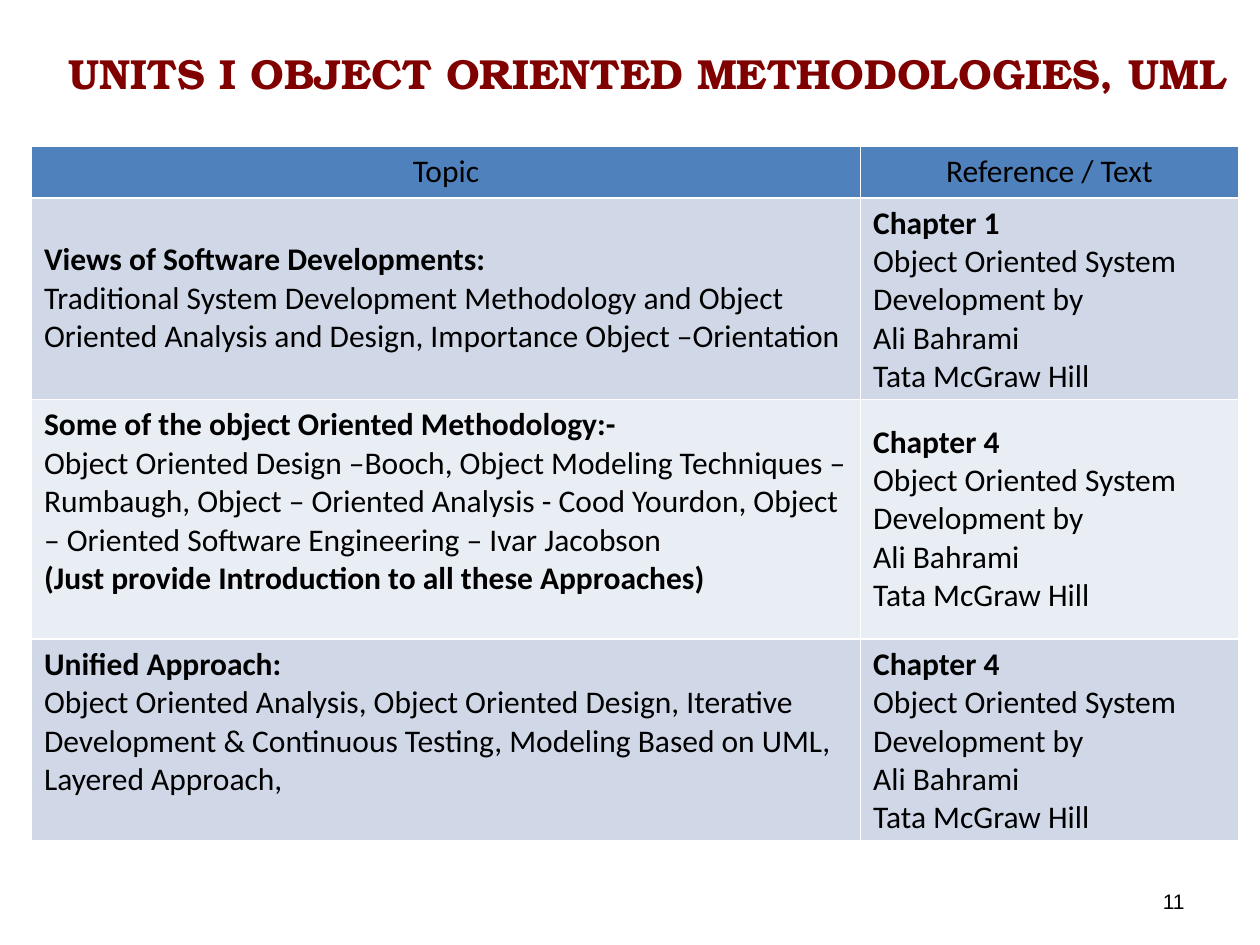
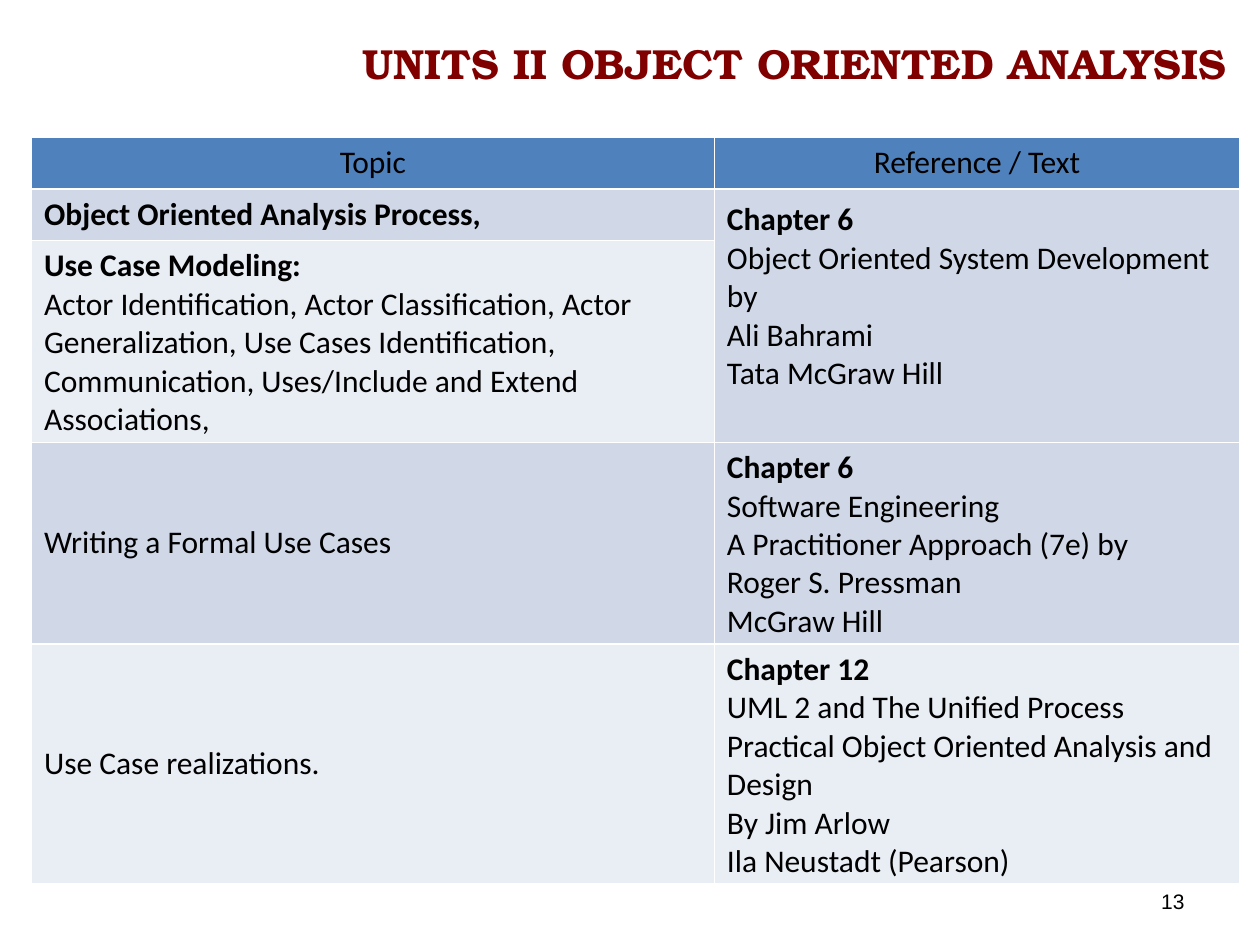
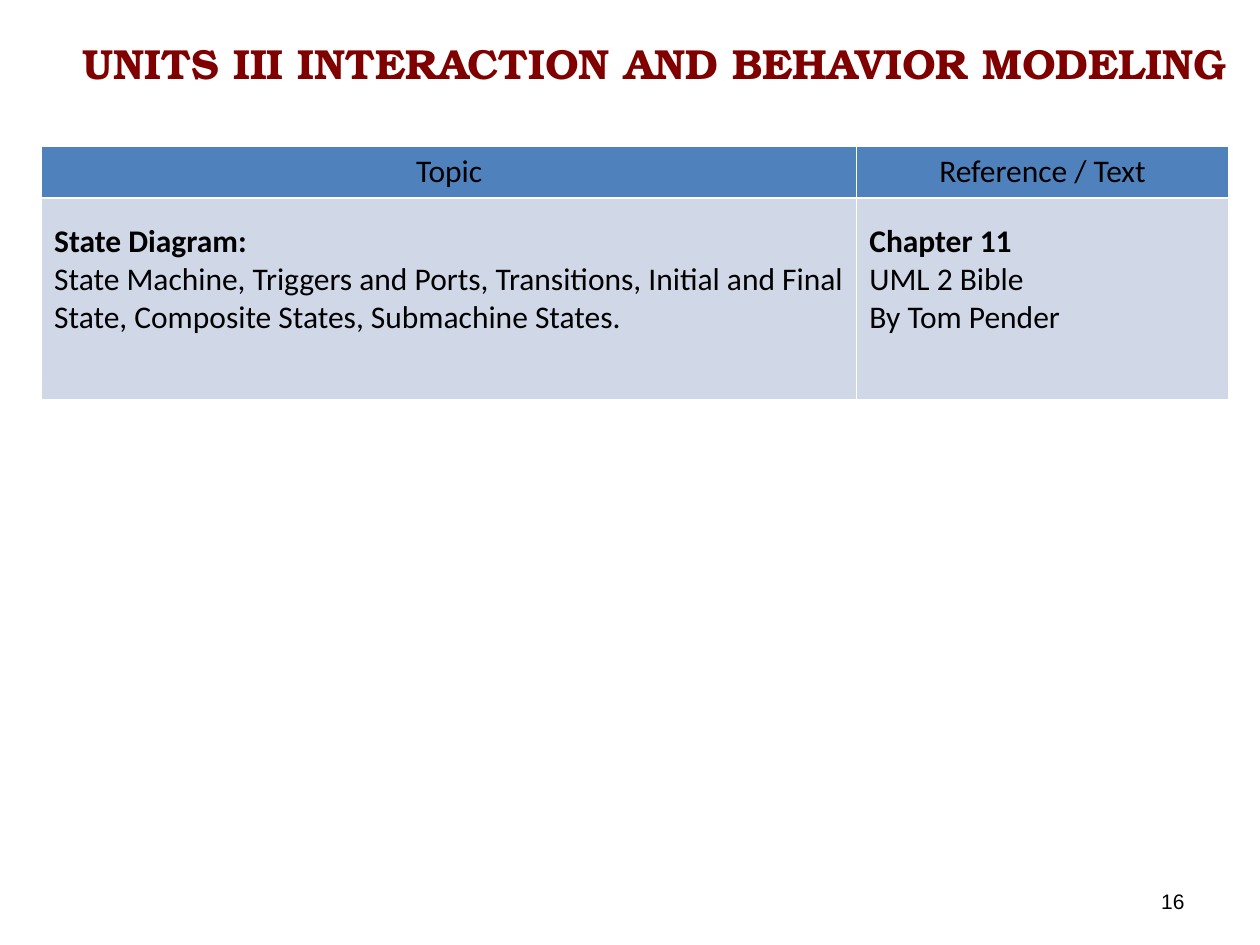
from pptx import Presentation
from pptx.dml.color import RGBColor
from pptx.enum.text import MSO_ANCHOR, MSO_AUTO_SIZE, PP_ALIGN
from pptx.util import Inches, Pt

LEFT, CENTER, RIGHT = PP_ALIGN.LEFT, PP_ALIGN.CENTER, PP_ALIGN.RIGHT
MIDDLE, TOP = MSO_ANCHOR.MIDDLE, MSO_ANCHOR.TOP
GROW = MSO_AUTO_SIZE.SHAPE_TO_FIT_TEXT
MAROON, BLACK, BLUE = "800000", "000000", "4F81BD"
BANDS = ["E9EDF4", "D0D8E8"]
TITLE_ONLY = 5
HEAD = ["Topic", "Reference / Text"]
BAHRAMI = ["Object Oriented System Development by", "Ali Bahrami", "Tata McGraw Hill"]


def rgb(code):
    return RGBColor.from_string(code)


def write(para, text, face, size, color, bold, align):
    para.alignment = align
    run = para.add_run()
    run.text = text
    font = run.font
    font.name, font.size, font.bold = face, Pt(size), bold
    font.color.rgb = rgb(color)


# In a cell each item is a paragraph, and a leading * makes it bold.
# None continues the cell above; cells in "raised" sit half a line higher.
units = [
    {
        "title": "UNITS I OBJECT ORIENTED METHODOLOGIES, UML",
        "page": "11", "head_top": 0.33, "left": 0.25, "top": 1.16,
        "cols": [6.58, 3], "heights": [0.41, 1.6, 1.9, 1.6],
        "raised": [(2, 0), (3, 0)],
        "rows": [
            [["*Views of Software Developments:",
              "Traditional System Development Methodology and Object Oriented "
              "Analysis and Design, Importance Object –Orientation"],
             ["*Chapter 1", *BAHRAMI]],
            [["*Some of the object Oriented Methodology:-",
              "Object Oriented Design –Booch, Object Modeling Techniques – "
              "Rumbaugh, Object – Oriented Analysis - Cood Yourdon, Object – "
              "Oriented Software Engineering – Ivar Jacobson",
              "*(Just provide Introduction to all these Approaches)"],
             ["*Chapter 4", *BAHRAMI]],
            [["*Unified Approach:",
              "Object Oriented Analysis, Object Oriented Design, Iterative "
              "Development & Continuous Testing, Modeling Based on UML, "
              "Layered Approach,"],
             ["*Chapter 4", *BAHRAMI]],
        ],
    },
    {
        "title": "UNITS II OBJECT ORIENTED ANALYSIS",
        "page": "13", "head_top": 0.25, "left": 0.25, "top": 1.09,
        "cols": [5.42, 4.17], "heights": [0.41, 0.41, 1.6, 1.6, 1.9],
        "raised": [(1, 1)],
        "rows": [
            [["*Object Oriented Analysis Process,"], ["*Chapter 6", *BAHRAMI]],
            [["*Use Case Modeling:",
              "Actor Identification, Actor Classification, Actor "
              "Generalization, Use Cases Identification, Communication, "
              "Uses/Include and Extend Associations,"],
             None],
            [["Writing a Formal Use Cases"],
             ["*Chapter 6", "Software Engineering",
              "A Practitioner Approach (7e) by", "Roger S. Pressman",
              "McGraw Hill"]],
            [["Use Case realizations."],
             ["*Chapter 12", "UML 2 and The Unified Process",
              "Practical Object Oriented Analysis and Design",
              "By Jim Arlow", "Ila Neustadt (Pearson)"]],
        ],
    },
    {
        "title": "UNITS III INTERACTION AND BEHAVIOR MODELING",
        "page": "16", "head_top": 0.25, "left": 0.33, "top": 1.16,
        "cols": [6.47, 2.95], "heights": [0.41, 1.6],
        "raised": [(1, 0), (1, 1)],
        "rows": [
            [["*State Diagram:",
              "State Machine, Triggers and Ports, Transitions, Initial and "
              "Final State, Composite States, Submachine States."],
             ["*Chapter 11", "UML 2 Bible", "By Tom Pender"]],
        ],
    },
]

deck = Presentation()
deck.slide_width, deck.slide_height = Inches(10), Inches(7.5)

for unit in units:
    slide = deck.slides.add_slide(deck.slide_layouts[TITLE_ONLY])

    title = slide.shapes.title
    title.left, title.top = Inches(0.24), Inches(unit["head_top"])
    title.width, title.height = Inches(9.59), Inches(0.51)
    frame = title.text_frame
    frame.vertical_anchor, frame.auto_size = TOP, GROW
    write(frame.paragraphs[0], unit["title"], "TeX Gyre Bonum", 24, MAROON, True, RIGHT)

    page = slide.shapes.add_textbox(Inches(7.17), Inches(6.95), Inches(2.33), Inches(0.4))
    frame = page.text_frame
    frame.word_wrap, frame.vertical_anchor = True, MIDDLE
    write(frame.paragraphs[0], unit["page"], "Arial", 12, BLACK, False, RIGHT)

    cols, heights = unit["cols"], unit["heights"]
    table = slide.shapes.add_table(
        len(heights), len(cols), Inches(unit["left"]), Inches(unit["top"]),
        Inches(sum(cols)), Inches(sum(heights))).table
    for col, width in zip(table.columns, cols):
        col.width = Inches(width)
    for row, height in zip(table.rows, heights):
        row.height = Inches(height)

    for r, row in enumerate([[[name] for name in HEAD], *unit["rows"]]):
        for c, lines in enumerate(row):
            cell = table.cell(r, c)
            if lines is None:
                table.cell(r - 1, c).merge(cell)
                continue
            cell.fill.solid()
            cell.fill.fore_color.rgb = rgb(BANDS[r % 2] if r else BLUE)
            cell.vertical_anchor = MIDDLE
            if (r, c) in unit["raised"]:
                cell.margin_bottom = Inches(0.35)
            frame = cell.text_frame
            for i, line in enumerate(lines):
                para = frame.add_paragraph() if i else frame.paragraphs[0]
                write(para, line.removeprefix("*"), "Calibri", 18, BLACK,
                      line.startswith("*"), LEFT if r else CENTER)

deck.save("out.pptx")
